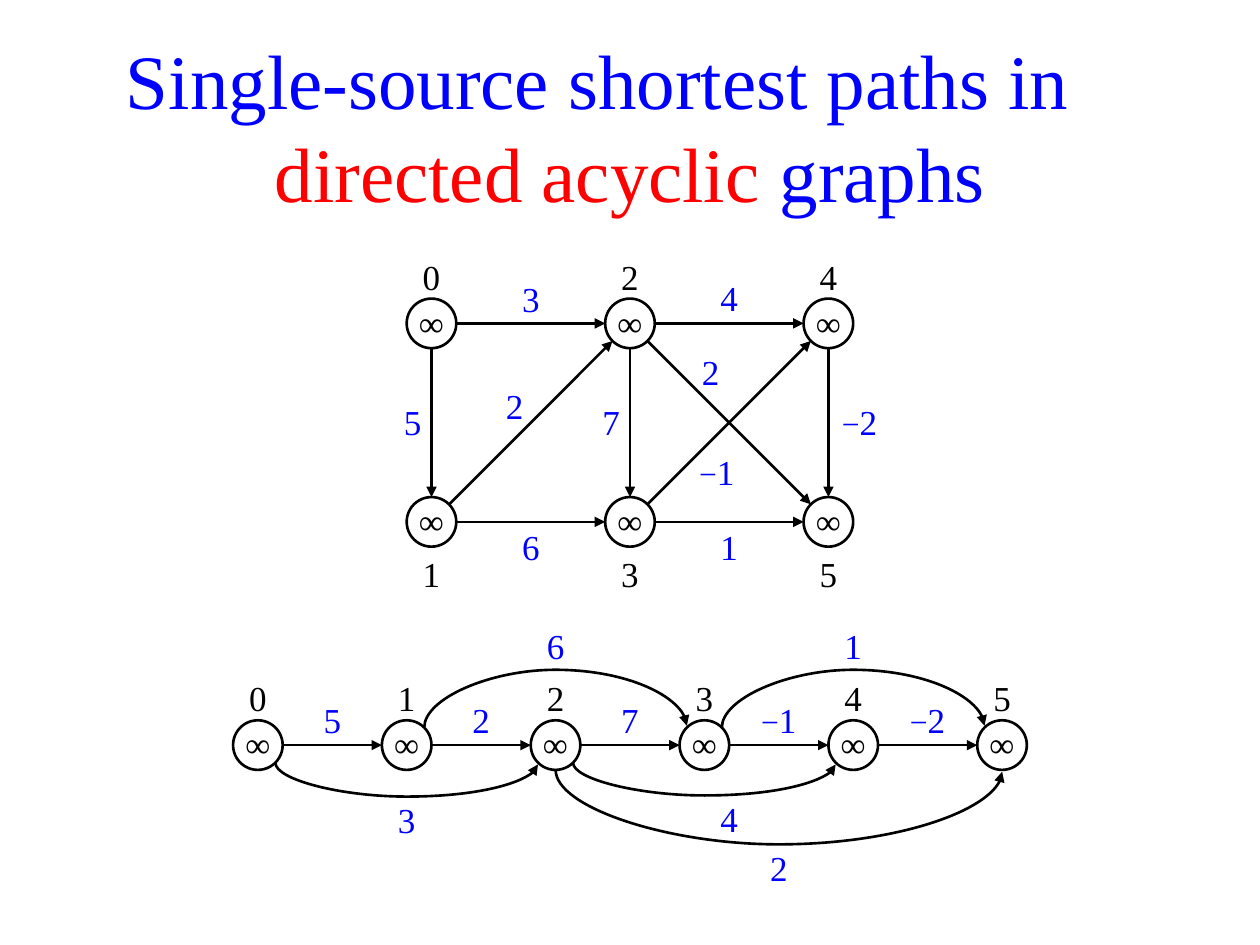
from math import cos, radians, sin
from lxml import etree
from pptx import Presentation
from pptx.dml.color import RGBColor
from pptx.enum.shapes import MSO_CONNECTOR as Link, MSO_SHAPE as Shape
from pptx.enum.text import MSO_ANCHOR as Anchor, MSO_AUTO_SIZE as AutoSize, PP_ALIGN as Align
from pptx.oxml.ns import qn
from pptx.util import Pt

COLORS = {"ink": "000000", "accent": "0000FF", "alert": "FF0000", "paper": "FFFFFF"}
FONT = "Times New Roman"
UNIT = 28.35  # grid step and node diameter
RADIUS = UNIT / 2
ARC_DROP = 1  # height difference between the two ends of an arc

# Left, top, right, bottom
INSETS = (7.2, 0, 7.2, 1.4)
EVEN = (7.2, 0, 7.2, 0)
NAME = (7.2, 2.8, 7.2, 0)
BESIDE = (7.2, 0, 5.7, 1.4)
SHIFTED = (7.2, 0, 0, 1.4)
DIAGONAL = (2.8, 0, 7.2, 5.7)


def color(name):
    return RGBColor.from_string(COLORS[name])


def style_span(span, size, ink):
    span.font.name = FONT
    span.font.size = Pt(size)
    span.font.color.rgb = color(ink)


def write(box, text, ink, insets=INSETS, align=Align.CENTER):
    """Fill a box with one line of text; a minus sign is set smaller."""
    frame = box.text_frame
    frame.auto_size = AutoSize.NONE
    frame.word_wrap = False
    frame.vertical_anchor = Anchor.MIDDLE
    (frame.margin_left, frame.margin_top,
     frame.margin_right, frame.margin_bottom) = map(Pt, insets)
    para = frame.paragraphs[0]
    para.alignment = align
    for char in text:
        span = para.add_run()
        span.text = char
        style_span(span, 18 if char == "−" else 20, ink)


def add_label(page, left, top, text, ink="accent", insets=INSETS,
              align=Align.CENTER, width=1, height=1):
    """Place a text box; width and height are in grid steps."""
    box = page.shapes.add_textbox(Pt(left), Pt(top), Pt(width * UNIT), Pt(height * UNIT))
    write(box, text, ink, insets, align)


def add_node(page, left, top):
    node = page.shapes.add_shape(Shape.OVAL, Pt(left), Pt(top), Pt(UNIT), Pt(UNIT))
    node.shadow.inherit = False
    node.fill.solid()
    node.fill.fore_color.rgb = color("paper")
    node.line.color.rgb = color("ink")
    node.line.width = Pt(1.5)
    write(node, "∞", "ink")


def add_arrow(page, kind, start, end):
    arrow = page.shapes.add_connector(kind, *map(Pt, (*start, *end)))
    arrow.line.color.rgb = color("ink")
    arrow.line.width = Pt(1.5)
    line = arrow.line._get_or_add_ln()
    etree.SubElement(line, qn("a:tailEnd"), type="triangle", w="med", len="med")
    etree.SubElement(arrow._element.spPr, qn("a:effectLst"))
    return arrow


def add_edge(page, start, end):
    """Draw a straight arrow between the rims of two nodes given by their centres."""
    dx, dy = end[0] - start[0], end[1] - start[1]
    scale = RADIUS / (dx * dx + dy * dy) ** 0.5
    add_arrow(page, Link.STRAIGHT,
              (start[0] + dx * scale, start[1] + dy * scale),
              (end[0] - dx * scale, end[1] - dy * scale))


def add_arc(page, start, end, angle, depth):
    """Draw a curved arrow leaving at an angle; a negative angle bows upwards."""
    dx, dy = RADIUS * cos(radians(angle)), RADIUS * sin(radians(angle))
    upward = angle < 0
    left, right = start[0] + dx, end[0] - dx
    drop = -ARC_DROP if upward else ARC_DROP
    middle_x, middle_y = (left + right) / 2, start[1] + dy + drop / 2
    span = right - left
    arc = add_arrow(page, Link.CURVE, (0, 0), (ARC_DROP, span))
    arc.left, arc.top = Pt(middle_x - ARC_DROP / 2), Pt(middle_y - span / 2)
    frame = arc._element.spPr.find(qn("a:xfrm"))
    frame.set("rot", str((90 if upward else 270) * 60000))
    frame.set("flipH", "1")
    if upward:
        frame.set("flipV", "1")
    guides = arc._element.spPr.find(qn("a:prstGeom")).get_or_add_avLst()
    etree.SubElement(guides, qn("a:gd"), name="adj1",
                     fmla=f"val {round(depth / ARC_DROP * 100000)}")


def add_title(page, left, top, width, height):
    title = page.shapes.title
    title.left, title.top, title.width, title.height = map(Pt, (left, top, width, height))
    frame = title.text_frame
    frame.auto_size = AutoSize.NONE
    frame.word_wrap = True
    frame.vertical_anchor = Anchor.MIDDLE
    para = frame.paragraphs[0]
    para.alignment = Align.CENTER
    for text, ink in (("Single-source shortest paths in \t", "accent"),
                      ("directed acyclic", "alert"), (" graphs", "accent")):
        span = para.add_run()
        span.text = text
        style_span(span, 44, ink)


def add_grid_graph(page, left, top):
    """Draw the graph as two rows of three nodes."""
    def at(column, row):
        return left + column * UNIT, top + row * UNIT

    centres = []
    for number in range(6):
        column, lower = number // 2 * 4, number % 2
        add_node(page, *at(column, 5 if lower else 1))
        add_label(page, *at(column, 6 if lower else 0), str(number), "ink", NAME)
        centres.append(at(column + 0.5, 5.5 if lower else 1.5))
    for tail, head in ((0, 1), (0, 2), (1, 2), (1, 3), (2, 3),
                       (2, 4), (2, 5), (3, 4), (3, 5), (4, 5)):
        add_edge(page, centres[tail], centres[head])

    for column, row, weight, insets in (
            (2, 0.5, "3", EVEN), (6, 0.5, "4", INSETS), (5.5, 2, "2", SHIFTED),
            (8.5, 3, "−2", SHIFTED), (2, 5.5, "6", EVEN), (6, 5.5, "1", EVEN)):
        add_label(page, *at(column, row), weight, insets=insets)
    for column, weight in ((-0.5, "5"), (3.5, "7")):
        add_label(page, *at(column, 3), weight, insets=BESIDE, align=Align.RIGHT)
    add_label(page, *at(1.5, 2.5), "2", insets=DIAGONAL, width=1.5, height=1.5)
    add_label(page, *at(5.5, 4), "−1", width=1.5)


def add_sorted_graph(page, left, top):
    """Draw the nodes in topological order on one line."""
    def at(column, row):
        return left + column * UNIT, top + row * UNIT

    centres = [at(3 * number + 0.5, 2.5) for number in range(6)]
    for number in range(6):
        add_node(page, *at(3 * number, 2))
        add_label(page, *at(3 * number, 1), str(number), "ink", NAME)
    for number, weight in enumerate(("5", "2", "7", "−1", "−2")):
        add_edge(page, centres[number], centres[number + 1])
        add_label(page, *at(3 * number + 1.5, 1.5), weight)
    for tail, head, angle, depth, column, row, weight, insets in (
            (1, 3, -45, 33.28, 6, 0, "6", EVEN), (3, 5, -45, 33.28, 12, 0, "1", EVEN),
            (0, 2, 45, 19.53, 3, 3.5, "3", EVEN), (2, 4, 45, 18.88, 9.5, 3.5, "4", INSETS),
            (2, 5, 90, 42.87, 10.5, 4.5, "2", INSETS)):
        add_arc(page, centres[tail], centres[head], angle, depth)
        add_label(page, *at(column, row), weight, insets=insets)


def main():
    deck = Presentation()
    deck.slide_width, deck.slide_height = Pt(720), Pt(540)
    page = deck.slides.add_slide(deck.slide_layouts[5])
    add_title(page, 48, 15, 624, 113)
    add_grid_graph(page, 360 - 4.5 * UNIT, 142.3)
    add_sorted_graph(page, 360 - 8 * UNIT, 142.3 + 7.5 * UNIT)
    deck.save("out.pptx")


if __name__ == "__main__":
    main()
